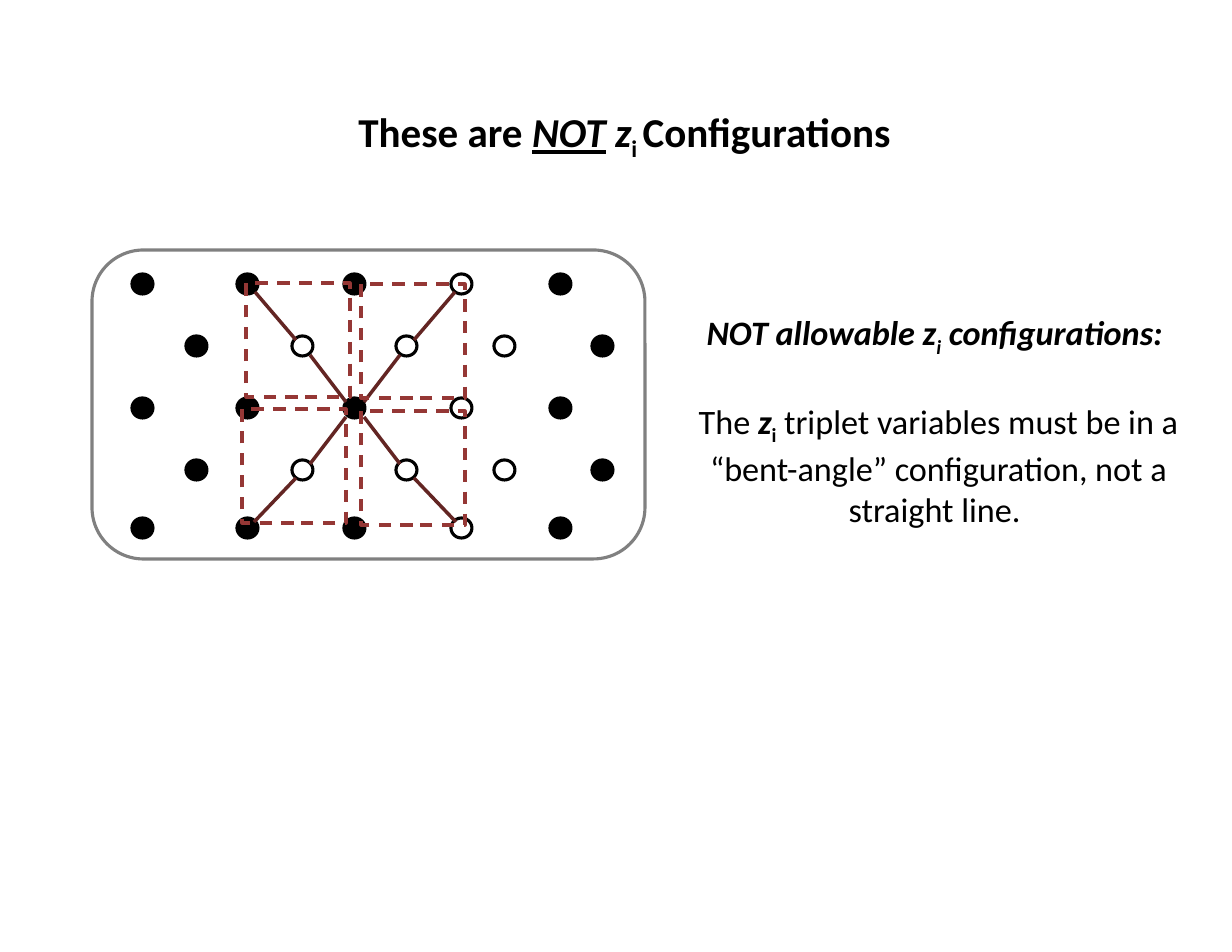
from lxml import etree
from pptx import Presentation
from pptx.dml.color import RGBColor
from pptx.enum.dml import MSO_LINE
from pptx.enum.shapes import MSO_CONNECTOR, MSO_SHAPE
from pptx.enum.text import PP_ALIGN
from pptx.oxml.ns import qn
from pptx.util import Pt

DASH = MSO_LINE.DASH
STRAIGHT = MSO_CONNECTOR.STRAIGHT
OVAL, RECTANGLE, ROUNDED = MSO_SHAPE.OVAL, MSO_SHAPE.RECTANGLE, MSO_SHAPE.ROUNDED_RECTANGLE
CENTER = PP_ALIGN.CENTER

EMU_PER_PX = 914400 / 112
BLACK, GREY, BROWN, RED = "000000", "808080", "632523", "953735"

BOLD = {"bold": True}
BOLD_ITALIC = {"bold": True, "italic": True}
UNDERLINED = {**BOLD_ITALIC, "underline": True}
BLANK_LINE = 27  # points


def px(length):
    return round(length * EMU_PER_PX)


def color(hex_string):
    return RGBColor.from_string(hex_string)


class Sketch:
    """Draws styled elements on one slide."""

    font = "Calibri"
    line_width = 2

    def __init__(self, slide):
        self.slide = slide

    def text(self, frame, size, paragraphs, gap=0):
        """Each paragraph is a list of (text, format, is_subscript)."""
        box = self.slide.shapes.add_textbox(*map(px, frame))
        box.text_frame.word_wrap = True
        for index, spans in enumerate(paragraphs):
            para = box.text_frame.paragraphs[0] if index == 0 else box.text_frame.add_paragraph()
            para.alignment = CENTER
            if index:
                para.space_before = Pt(gap)
            for text, style, is_subscript in spans:
                span = para.add_run()
                span.text = text
                span.font.color.rgb = color(BLACK)
                for name, value in {"name": self.font, "size": Pt(size), **style}.items():
                    setattr(span.font, name, value)
                if is_subscript:
                    span.font._element.set("baseline", "-25000")

    def shape(self, kind, frame, line, fill=None, dash=None):
        shape = self.slide.shapes.add_shape(kind, *map(px, frame))
        shape.shadow.inherit = False
        if fill:
            shape.fill.solid()
            shape.fill.fore_color.rgb = color(fill)
        else:
            shape.fill.background()
        shape.line.color.rgb = color(line)
        shape.line.width = Pt(self.line_width)
        if dash:
            shape.line.dash_style = dash

    def line(self, start, end, line, width):
        connector = self.slide.shapes.add_connector(STRAIGHT, *map(px, (*start, *end)))
        connector.line.color.rgb = color(line)
        connector.line.width = Pt(width)
        etree.SubElement(connector._element.spPr, qn("a:effectLst"))

    def dot_row(self, top, lefts, pattern):
        """Draws a dot per pattern letter: F is filled, O is open."""
        for left, mark in zip(lefts, pattern):
            self.shape(OVAL, (left, top, 21, 20), BLACK, BLACK if mark == "F" else None)


def main():
    deck = Presentation()
    deck.slide_width, deck.slide_height = px(1232), px(952)
    page = Sketch(deck.slides.add_slide(deck.slide_layouts[6]))

    page.text((142, 101, 965, 62), 26.4, [[
        ("These are ", BOLD, False),
        ("NOT", UNDERLINED, False),
        (" ", BOLD, False),
        ("z", BOLD_ITALIC, False),
        ("i ", BOLD, True),
        ("Configurations", BOLD, False),
    ]])
    page.text((681, 306, 515, 218), 22, [
        [
            ("NOT allowable z", BOLD_ITALIC, False),
            ("i", BOLD_ITALIC, True),
            (" configurations: ", BOLD_ITALIC, False),
        ],
        [
            ("The ", {}, False),
            ("z", BOLD_ITALIC, False),
            ("i", BOLD, True),
            (" triplet variables must be in a “bent-angle” configuration, "
             "not a straight line. ", {}, False),
        ],
    ], gap=BLANK_LINE)

    outer_lefts = (132, 237, 344, 451, 550)
    inner_lefts = (186, 292, 396, 494, 592)
    for top in (274, 398, 518):
        page.dot_row(top, outer_lefts, "FFFOF")
    for top in (336, 460):
        page.dot_row(top, inner_lefts, "FOOOF")

    # Left half of the crossing diagonals, mirrored about the centre dot
    mirror_sum = 710
    left_segments = [
        ((255, 292), (296, 340)),
        ((310, 355), (346, 402)),
        ((310, 464), (346, 417)),
        ((254, 522), (296, 478)),
    ]
    for start, end in left_segments:
        page.line(start, end, BROWN, 2.25)
        mirrored = [(mirror_sum - x, y) for x, y in (start, end)]
        page.line(*mirrored, BROWN, 2.25)

    page.shape(ROUNDED, (92, 250, 553, 309), GREY)
    for corner in ((246, 283), (361, 284), (361, 411), (242, 409)):
        page.shape(RECTANGLE, (*corner, 104, 114), RED, dash=DASH)

    deck.save("out.pptx")


if __name__ == "__main__":
    main()
